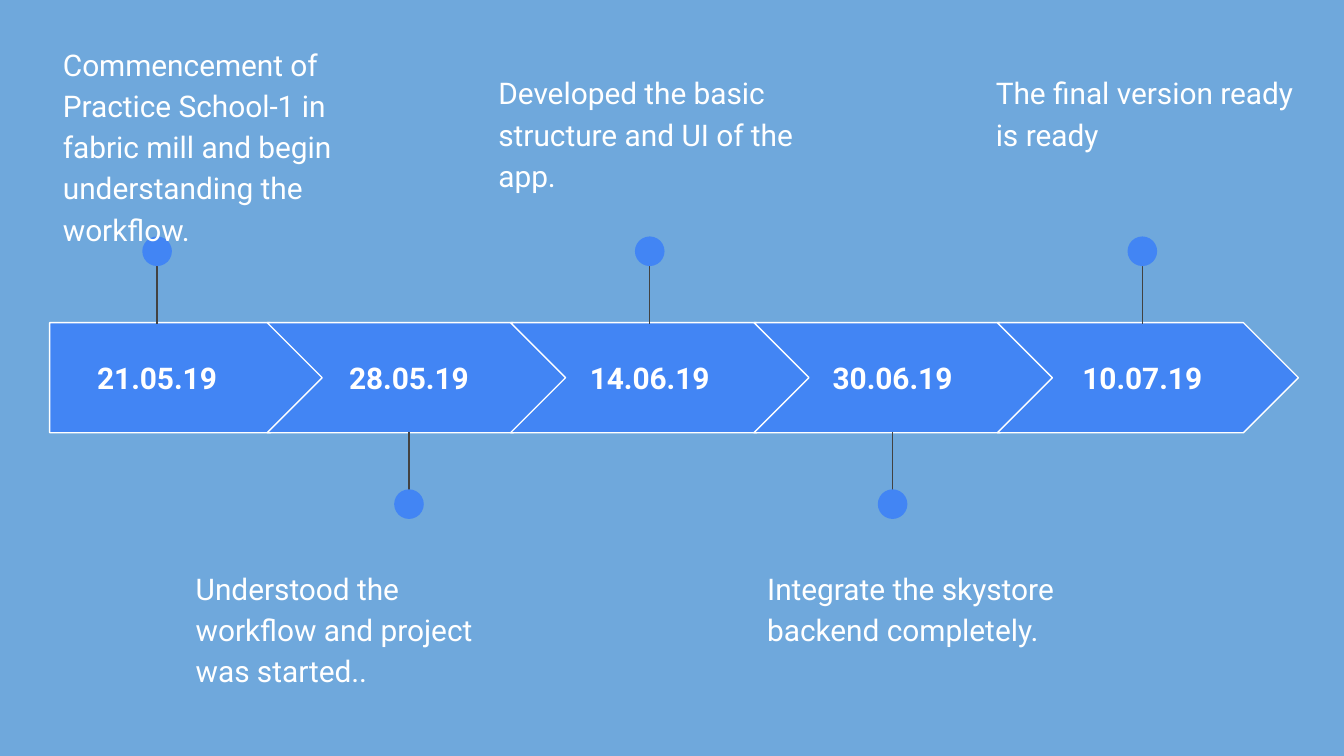
from typing import NamedTuple

from lxml.etree import SubElement
from pptx import Presentation
from pptx.dml.color import RGBColor
from pptx.enum.shapes import MSO_CONNECTOR as Link, MSO_SHAPE as Shape
from pptx.enum.text import MSO_ANCHOR as Anchor, PP_ALIGN as Align
from pptx.oxml.ns import qn
from pptx.util import Cm, Pt

SKY = RGBColor(0x6F, 0xA8, 0xDC)
BLUE = RGBColor(0x42, 0x85, 0xF4)
WHITE = RGBColor(0xFF, 0xFF, 0xFF)
GREY = RGBColor(0x42, 0x42, 0x42)

# Lengths in centimetres
BAND_TOP, BAND_HEIGHT = 6.1, 2.08
BAND_MIDDLE = BAND_TOP + BAND_HEIGHT / 2
START_LEFT, START_WIDTH = 0.94, 5.21
CHEVRON_LEFT, CHEVRON_WIDTH, CHEVRON_STEP = 5.05, 5.69, 4.6
DATE_HEIGHT = 1.3
STEM_NEAR, STEM_FAR = 1.02, 2.57  # distances from the band's middle
DOT_SIZE, DOT_CENTRE = 0.56, 2.39
NOTE_WIDTH, NOTE_HEIGHT = 6.22, 2.51
INSET = 0.25

FONT = {"name": "Roboto", "size": Pt(16)}
DATE_PARA = {"alignment": Align.CENTER}
NOTE_PARA = {"line_spacing": 1.15, "space_after": Pt(16)}


class Milestone(NamedTuple):
    date: str
    centre: float
    date_width: float
    side: int  # -1 is above the band, 1 is below it
    note: str
    note_left: float
    note_top: float


MILESTONES = [
    Milestone("21.05.19", 2.97, 4.04, -1,
              "Commencement of Practice School-1 in fabric mill and begin "
              "understanding the workflow.", 0.94, 0.53),
    Milestone("28.05.19", 7.73, 3.66, 1,
              "Understood the workflow and project was started..", 3.45, 10.44),
    Milestone("14.06.19", 12.28, 3.66, -1,
              "Developed the basic structure and UI of the app.", 9.17, 1.07),
    Milestone("30.06.19", 16.87, 3.66, 1,
              "Integrate the skystore backend completely.", 14.25, 10.44),
    Milestone("10.07.19", 21.59, 3.66, -1,
              "The final version ready is ready", 18.57, 1.07),
]


def apply(target, values: dict) -> None:
    for name, value in values.items():
        setattr(target, name, value)


def add_text(page, text: str, left: float, top: float, width: float,
             height: float, para_format: dict, anchor, bold: bool) -> None:
    box = page.shapes.add_textbox(Cm(left), Cm(top), Cm(width), Cm(height))
    frame = box.text_frame
    apply(frame, {"word_wrap": True, "vertical_anchor": anchor})
    apply(frame, {f"margin_{side}": Cm(INSET)
                  for side in ("left", "top", "right", "bottom")})
    para = frame.paragraphs[0]
    apply(para, para_format)
    span = para.add_run()
    span.text = text
    apply(span.font, FONT | {"bold": bold})
    span.font.color.rgb = WHITE


def add_solid(shapes, kind, left: float, top: float, width: float, height: float):
    solid = shapes.add_shape(kind, Cm(left), Cm(top), Cm(width), Cm(height))
    solid.shadow.inherit = False
    solid.fill.solid()
    solid.fill.fore_color.rgb = BLUE
    return solid


def add_arrow(page, index: int) -> None:
    if index == 0:
        kind, left, width = Shape.PENTAGON, START_LEFT, START_WIDTH
    else:
        kind, width = Shape.CHEVRON, CHEVRON_WIDTH
        left = CHEVRON_LEFT + (index - 1) * CHEVRON_STEP
    arrow = add_solid(page.shapes, kind, left, BAND_TOP, width, BAND_HEIGHT)
    arrow.line.color.rgb = WHITE
    arrow.line.width = Pt(0.75)


def add_pin(page, centre: float, side: int) -> None:
    pin = page.shapes.add_group_shape()
    stem = pin.shapes.add_connector(
        Link.STRAIGHT,
        Cm(centre), Cm(BAND_MIDDLE + side * STEM_FAR),
        Cm(centre), Cm(BAND_MIDDLE + side * STEM_NEAR))
    stem.line.color.rgb = GREY
    stem.line.width = Pt(0.75)
    SubElement(stem._element.spPr, qn("a:effectLst"))
    dot = add_solid(pin.shapes, Shape.OVAL, centre - DOT_SIZE / 2,
                    BAND_MIDDLE + side * DOT_CENTRE - DOT_SIZE / 2,
                    DOT_SIZE, DOT_SIZE)
    dot.line.fill.background()


def add_milestone(page, index: int, item: Milestone) -> None:
    add_arrow(page, index)
    add_text(page, item.date, item.centre - item.date_width / 2,
             BAND_MIDDLE - DATE_HEIGHT / 2, item.date_width, DATE_HEIGHT,
             DATE_PARA, Anchor.MIDDLE, True)
    add_pin(page, item.centre, item.side)
    add_text(page, item.note, item.note_left, item.note_top,
             NOTE_WIDTH, NOTE_HEIGHT, NOTE_PARA, Anchor.TOP, False)


def main() -> None:
    deck = Presentation()
    apply(deck, {"slide_width": Cm(25.4), "slide_height": Cm(14.29)})
    page = deck.slides.add_slide(deck.slide_layouts[6])

    # Background
    page.background.fill.solid()
    page.background.fill.fore_color.rgb = SKY

    # Timeline
    for index, item in enumerate(MILESTONES):
        add_milestone(page, index, item)

    deck.save("out.pptx")


if __name__ == "__main__":
    main()
